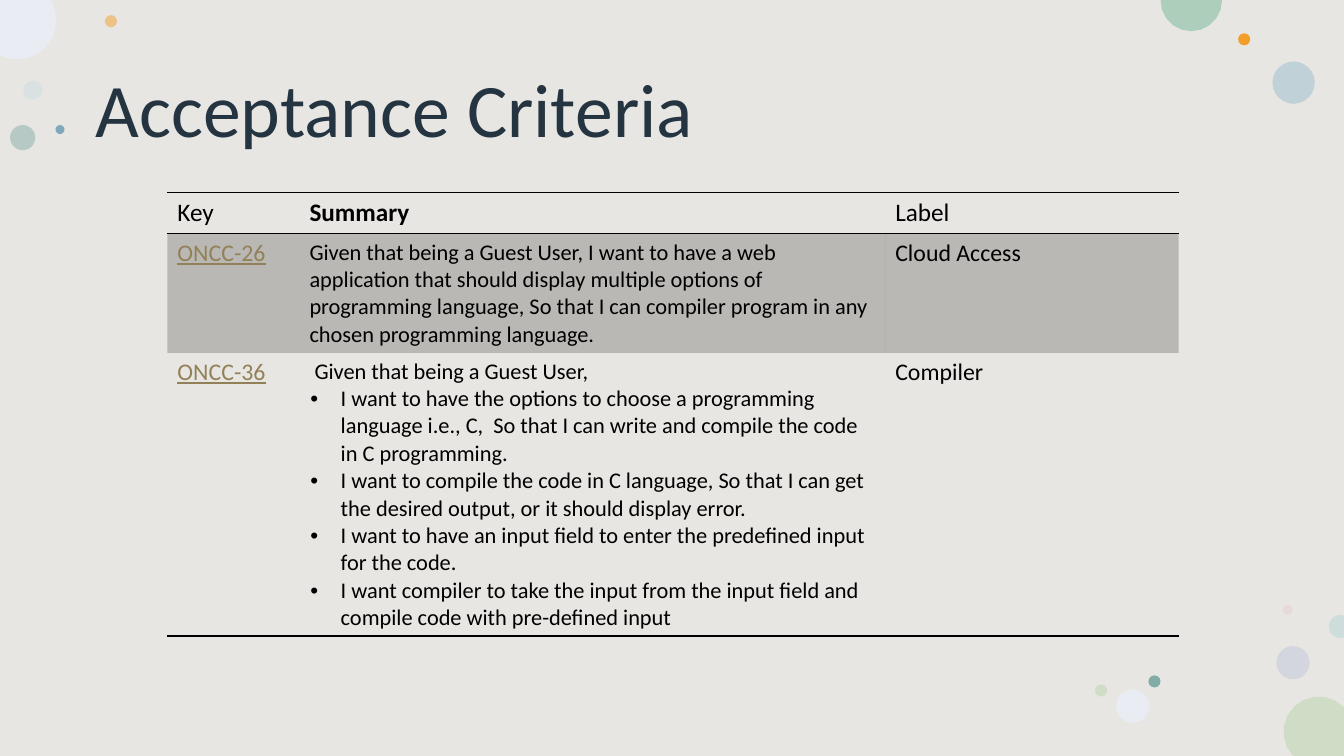
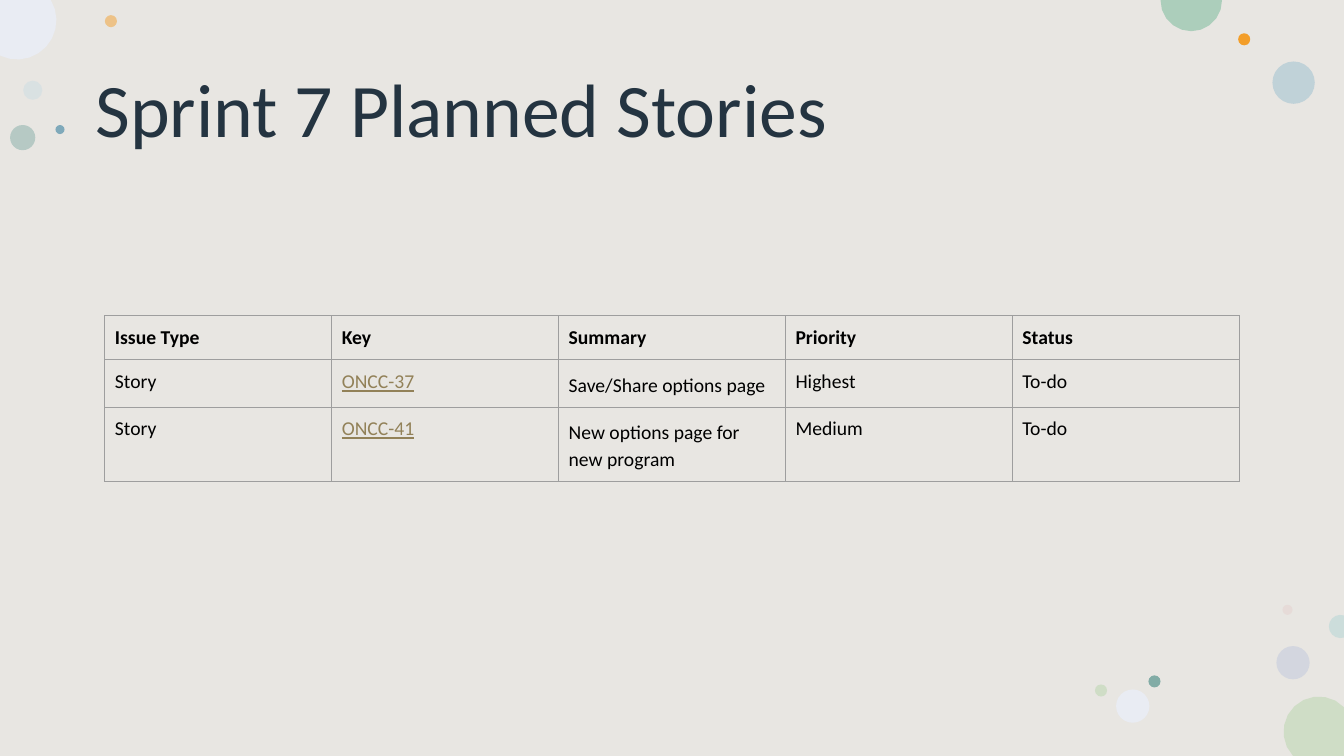
import math

from lxml import etree
from pptx import Presentation, util as u
from pptx.dml.color import RGBColor
from pptx.enum import shapes, text
from pptx.oxml.ns import qn

PX = 9144  # 100 px to the inch
SLIDE_W, SLIDE_H = 1333, 750

PAPER = RGBColor(0xE8, 0xE6, 0xE2)
TITLE_INK = RGBColor(0x24, 0x34, 0x41)
BLACK = RGBColor(0x00, 0x00, 0x00)
LINK = RGBColor(0x92, 0x81, 0x58)
GRID = RGBColor(0x9E, 0x9E, 0x9E)
MIST = RGBColor(0xCA, 0xDC, 0xE3)
ORANGE = RGBColor(0xF3, 0x9E, 0x29)
LAVENDER = RGBColor(0xBE, 0xC7, 0xDC)
TEAL = RGBColor(0x82, 0xAC, 0xA6)
SKY = RGBColor(0xB1, 0xCA, 0xD5)
ROSE = RGBColor(0xE3, 0xBE, 0xBE)
PALE_BLUE = RGBColor(0xE9, 0xEC, 0xF3)
SAGE = RGBColor(0xCF, 0xDD, 0xC6)
MINT = RGBColor(0xAC, 0xCE, 0xBB)
STEEL = RGBColor(0x7F, 0xA9, 0xBA)
AQUA = RGBColor(0xCC, 0xDD, 0xDB)

# left, top, diameter, colour, opacity in percent
BUBBLES = [
    (23, 80, 19, MIST, 49),
    (104, 15, 12, ORANGE, 49),
    (1266, 641, 33, LAVENDER, 49),
    (10, 124, 25, TEAL, 49),
    (1262, 61, 42, SKY, 71),
    (1228, 33, 12, ORANGE, 100),
    (1272, 600, 10, ROSE, 27),
    (1139, 670, 12, TEAL, 100),
    (1107, 684, 33, PALE_BLUE, 100),
    (1086, 679, 12, SAGE, 100),
    (55, 124, 9, STEEL, 100),
]

# left, top, diameter, colour, first and last degree of the arc, slide corners
CUT_BUBBLES = [
    (1273, 691, 70, SAGE, 137, 316, [(SLIDE_W, SLIDE_H)]),
    (-22, -19, 78, PALE_BLUE, -31, 116, [(0, 0)]),
    (1151, -30, 61, MINT, -1, 181, []),
    (1318, 610, 23, AQUA, 72, 288, []),
]
ARC_STEPS = 10

TITLE_FONT = {"name": "Calibri", "size": u.Pt(54)}
CELL_FONT = {"name": "Calibri", "bold": False, "underline": False}
NO_TABLE_STYLE = "{2D5ABB26-0587-4C30-8999-92F81FD0307C}"

CRITERIA = [
    ["Key", "Summary", "Label"],
    ["ONCC-26",
     "Given that being a Guest User, I want to have a web application that should "
     "display multiple options of programming language, So that I can compiler "
     "program in any chosen programming language.",
     "Cloud Access"],
    ["ONCC-36",
     [" Given that being a Guest User,",
      "I want to have the options to choose a programming language i.e., C,  So that "
      "I can write and compile the code in C programming.",
      "I want to compile the code in C language, So that I can get the desired "
      "output, or it should display error.",
      "I want to have an input field to enter the predefined input for the code.",
      "I want compiler to take the input from the input field and compile code "
      "with pre-defined input"],
     "Compiler"],
]

STORIES = [
    ["Issue Type", "Key", "Summary", "Priority", "Status"],
    ["Story", "ONCC-37", "Save/Share options page", "Highest", "To-do"],
    ["Story", "ONCC-41", "New options page for new program", "Medium", "To-do"],
]


def px(*lengths):
    return [u.Emu(length * PX) for length in lengths]


def apply(target, values):
    for attribute, value in values.items():
        setattr(target, attribute, value)


def paint(fill, properties, colour, opacity=100):
    """Solid fill; properties is the XML element that holds it."""
    fill.solid()
    fill.fore_color.rgb = colour
    if opacity < 100:
        rgb = properties.find(qn("a:solidFill")).find(qn("a:srgbClr"))
        etree.SubElement(rgb, qn("a:alpha"), val=str(opacity * 1000))


def finish(shape, colour, opacity=100):
    """Flat fill without outline or shadow."""
    shape.shadow.inherit = False
    shape.line.fill.background()
    paint(shape.fill, shape._element.spPr, colour, opacity)


def add_backdrop(slide):
    backdrop = slide.shapes.add_shape(
        shapes.MSO_SHAPE.RECTANGLE, *px(0, 0, SLIDE_W, SLIDE_H))
    finish(backdrop, PAPER)


def add_bubble(slide, left, top, diameter, colour, opacity):
    bubble = slide.shapes.add_shape(
        shapes.MSO_SHAPE.OVAL, *px(left, top, diameter, diameter))
    finish(bubble, colour, opacity)


def add_cut_bubble(slide, left, top, diameter, colour, first, last, corners):
    """Bubble cut off straight at the slide's edges."""
    radius = diameter / 2
    points = []
    for step in range(ARC_STEPS + 1):
        angle = math.radians(first + (last - first) * step / ARC_STEPS)
        x = left + radius + radius * math.cos(angle)
        y = top + radius + radius * math.sin(angle)
        points.append((min(max(x, 0), SLIDE_W), min(max(y, 0), SLIDE_H)))
    start, *others = [(round(x * PX), round(y * PX)) for x, y in points + corners]
    outline = slide.shapes.build_freeform(*start)
    outline.add_line_segments(others, close=True)
    finish(outline.convert_to_shape(), colour)


def add_run(paragraph, wording, font, colour):
    run = paragraph.add_run()
    run.text = wording
    apply(run.font, font)
    run.font.color.rgb = colour


def add_title(slide, wording):
    frame = slide.shapes.add_textbox(*px(85, 40, 1166, 145)).text_frame
    apply(frame, {"word_wrap": True, "vertical_anchor": text.MSO_ANCHOR.MIDDLE})
    paragraph = frame.paragraphs[0]
    paragraph.line_spacing = 0.9
    add_run(paragraph, wording, TITLE_FONT, TITLE_INK)


def start_slide(prs, title):
    slide = prs.slides.add_slide(prs.slide_layouts[6])
    add_backdrop(slide)
    for bubble in BUBBLES:
        add_bubble(slide, *bubble)
    for bubble in CUT_BUBBLES:
        add_cut_bubble(slide, *bubble)
    add_title(slide, title)
    return slide


def set_borders(cell, sides, colour, points):
    """Draw the sides named by letters (L, R, T, B) and clear the others."""
    properties = cell._tc.get_or_add_tcPr()
    for side in "LRTB":
        border = etree.SubElement(properties, qn(f"a:ln{side}"),
                                  w=str(u.Pt(points)))
        if side in sides:
            solid = etree.SubElement(border, qn("a:solidFill"))
            etree.SubElement(solid, qn("a:srgbClr"), val=str(colour))
        else:
            etree.SubElement(border, qn("a:noFill"))


def add_bullet(paragraph):
    properties = paragraph._p.get_or_add_pPr()
    indent, hanging = px(31, -30)
    properties.set("marL", str(indent))
    properties.set("indent", str(hanging))
    etree.SubElement(properties, qn("a:buFont"), typeface="Arial")
    etree.SubElement(properties, qn("a:buChar"), char="•")


def write_cell(cell, content, size, bold=False, spacing=None):
    """A list gives an opening line followed by bullets."""
    lines = [content] if isinstance(content, str) else content
    for index, line in enumerate(lines):
        if index == 0:
            paragraph = cell.text_frame.paragraphs[0]
        else:
            paragraph = cell.text_frame.add_paragraph()
            add_bullet(paragraph)
        if spacing:
            paragraph.line_spacing = spacing
        is_key = line.startswith("ONCC-")
        font = {**CELL_FONT, "size": u.Pt(size), "bold": bold, "underline": is_key}
        add_run(paragraph, line, font, LINK if is_key else BLACK)


def add_grid(slide, left, top, widths, heights, margin):
    """Unstyled table, margin being the cells' top and bottom inset."""
    frame = slide.shapes.add_table(
        len(heights), len(widths), *px(left, top, sum(widths), sum(heights)))
    table = frame.table
    apply(table, {"first_row": False, "horz_banding": False})
    table._tbl.tblPr.find(qn("a:tableStyleId")).text = NO_TABLE_STYLE
    for column, width in zip(table.columns, px(*widths)):
        column.width = width
    for row, height in zip(table.rows, px(*heights)):
        row.height = height
    side, vertical = px(10, margin)
    for cell in table.iter_cells():
        apply(cell, {"margin_left": side, "margin_right": side,
                     "margin_top": vertical, "margin_bottom": vertical})
    return table


def add_criteria_slide(prs):
    slide = start_slide(prs, "Acceptance Criteria")
    table = add_grid(slide, 166, 191, [131, 581, 291], [41, 118, 281], margin=5)
    row_borders = ["TB", "T", "B"]
    body_sizes = [17, 16, 17]
    for r, row in enumerate(CRITERIA):
        for c, content in enumerate(row):
            cell = table.cell(r, c)
            set_borders(cell, row_borders[r], BLACK, 1)
            if r == 1:
                paint(cell.fill, cell._tc.tcPr, BLACK, 20)
            else:
                cell.fill.background()
            write_cell(cell, content, 18 if r == 0 else body_sizes[c],
                       bold=content == "Summary")


def add_stories_slide(prs):
    slide = start_slide(prs, "Sprint 7 Planned Stories")
    table = add_grid(slide, 104, 313, [225] * 5, [44, 47, 74], margin=10)
    for r, row in enumerate(STORIES):
        for c, content in enumerate(row):
            cell = table.cell(r, c)
            set_borders(cell, "LRTB", GRID, 0.75)
            cell.fill.background()
            write_cell(cell, content, 14, bold=r == 0,
                       spacing=1.15 if r > 0 and c == 2 else None)


def main():
    prs = Presentation()
    prs.slide_width, prs.slide_height = px(SLIDE_W, SLIDE_H)
    add_criteria_slide(prs)
    add_stories_slide(prs)
    prs.save("out.pptx")


if __name__ == "__main__":
    main()
